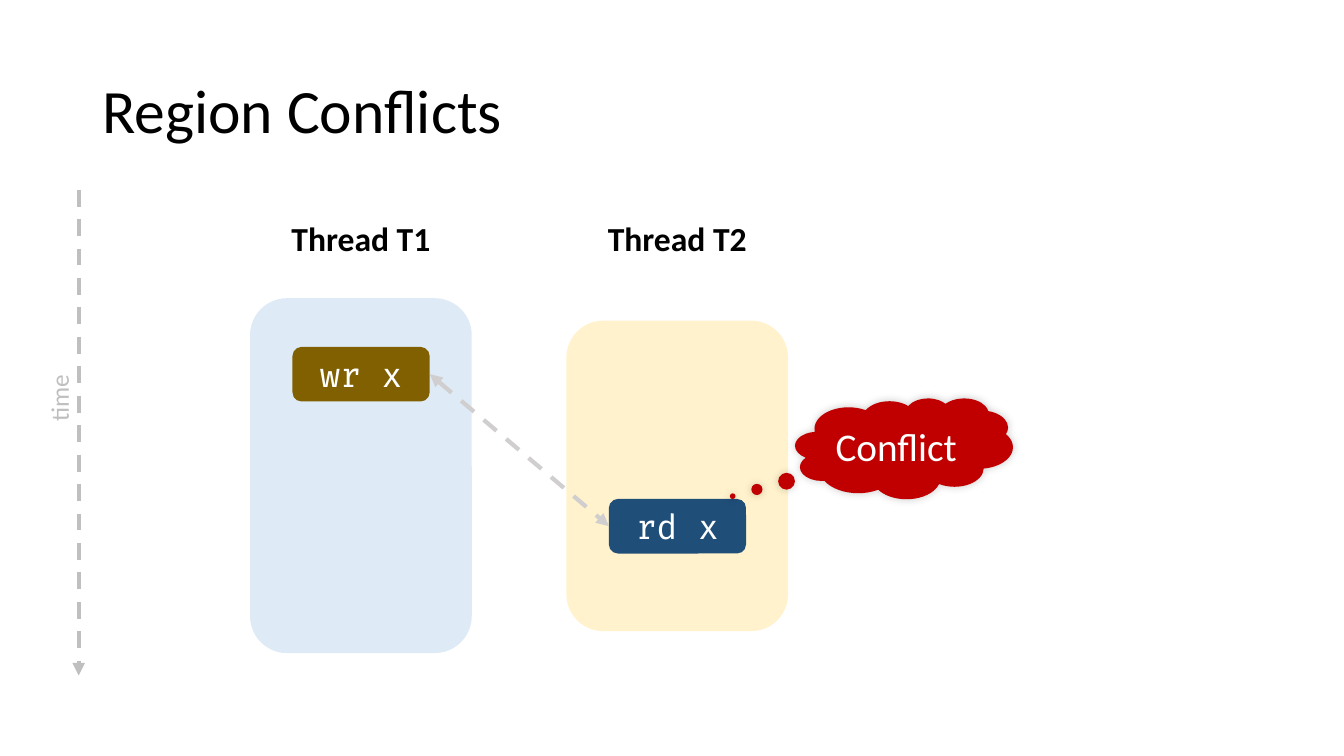
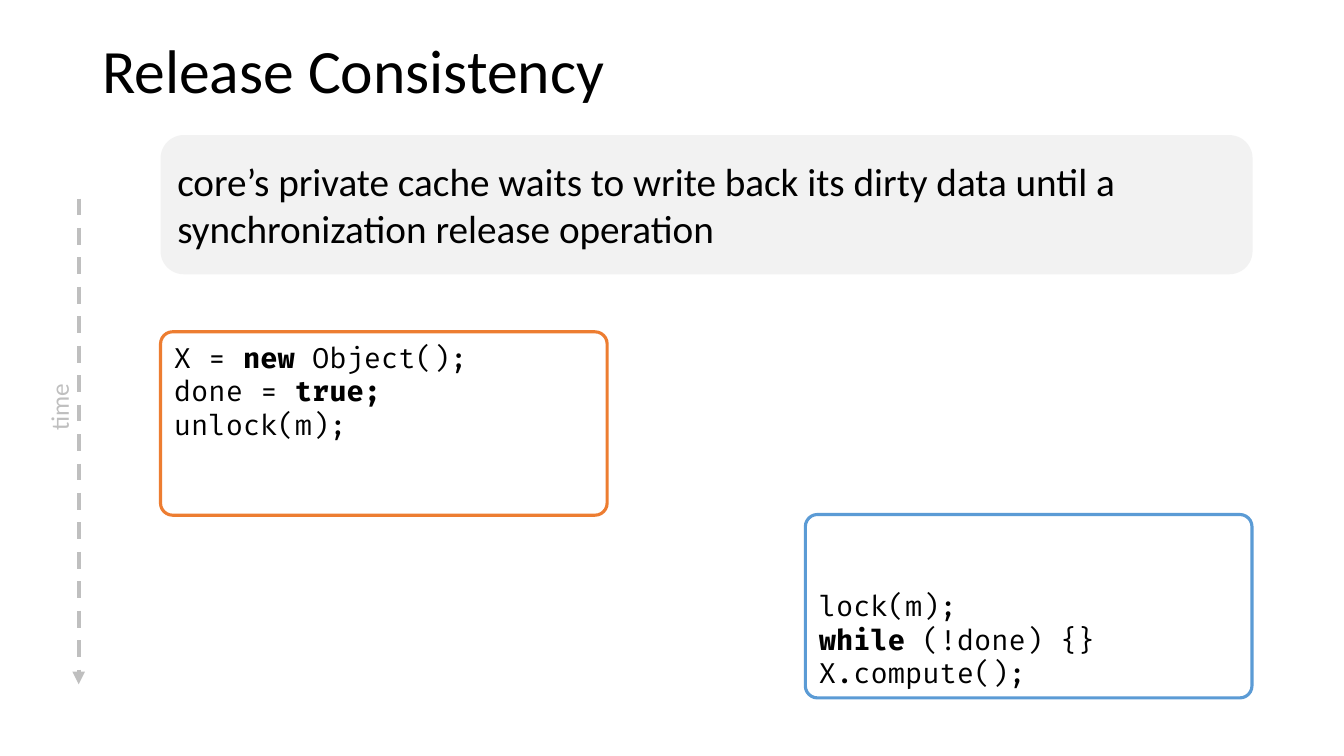
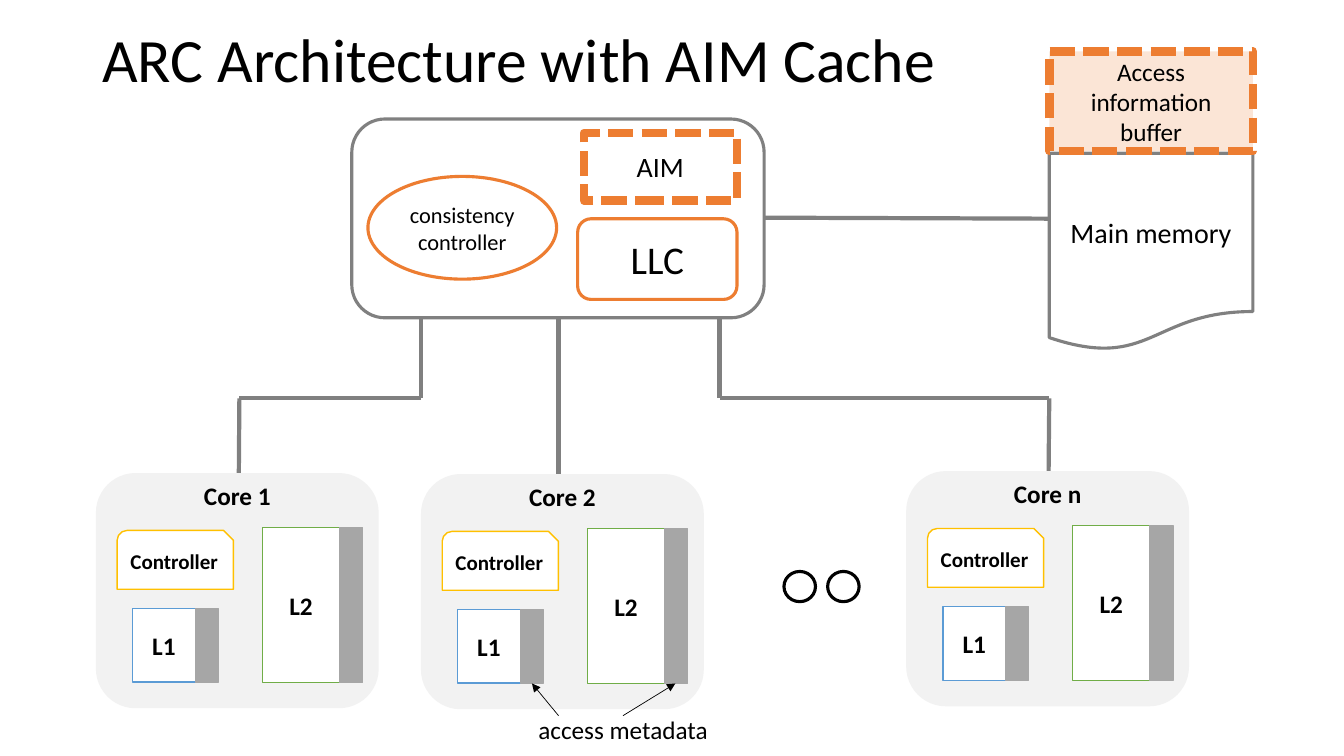
"""Build three slides on region conflicts, release consistency and the ARC design."""
import itertools

import lxml.etree
import pptx
import pptx.dml.color
import pptx.enum.dml
import pptx.enum.shapes
import pptx.enum.text
import pptx.oxml.ns
import pptx.util

Pt = pptx.util.Pt
RGB = pptx.dml.color.RGBColor
qn = pptx.oxml.ns.qn
FORM = pptx.enum.shapes.MSO_SHAPE
DASH = pptx.enum.dml.MSO_LINE.DASH
BLOCK = pptx.enum.dml.MSO_LINE.SQUARE_DOT
ALIGN = pptx.enum.text.PP_ALIGN
ANCHOR = pptx.enum.text.MSO_ANCHOR

BLACK = RGB(0x00, 0x00, 0x00)
WHITE = RGB(0xFF, 0xFF, 0xFF)
PALE = RGB(0xF2, 0xF2, 0xF2)
SILVER = RGB(0xBF, 0xBF, 0xBF)
MIST = RGB(0xD0, 0xCE, 0xCE)
ASH = RGB(0xA6, 0xA6, 0xA6)
GRAY = RGB(0x80, 0x80, 0x80)
SKY = RGB(0xDE, 0xEB, 0xF7)
BLUE = RGB(0x5B, 0x9B, 0xD5)
NAVY = RGB(0x1F, 0x4E, 0x79)
CREAM = RGB(0xFF, 0xF2, 0xCC)
GOLD = RGB(0xFF, 0xC0, 0x00)
BROWN = RGB(0x80, 0x60, 0x00)
PEACH = RGB(0xFB, 0xE5, 0xD6)
ORANGE = RGB(0xED, 0x7D, 0x31)
GREEN = RGB(0x70, 0xAD, 0x47)
RED = RGB(0xC0, 0x00, 0x00)
SANS = "Calibri"
MONO = "Fira Code"


def write(shape, lines, size, color=BLACK, bold=False, face=SANS,
          align=ALIGN.CENTER, anchor=ANCHOR.MIDDLE):
    """Fill a shape with lines, each a string or a list of (text, bold) runs."""
    frame = shape.text_frame
    frame.word_wrap = True
    frame.vertical_anchor = anchor
    for rank, line in enumerate(lines):
        para = frame.add_paragraph() if rank else frame.paragraphs[0]
        para.alignment = align
        para.font.name = face
        para.font.size = Pt(size)
        para.font.color.rgb = color
        if isinstance(line, str):
            para.font.bold = bold
            para.add_run().text = line
        else:
            for text, heavy in line:
                run = para.add_run()
                run.text = text
                run.font.bold = heavy


def box(slide, form, area, fill, edge=None, width=1, dash=None):
    """Add a preset shape with a flat fill and an optional outline."""
    shape = slide.shapes.add_shape(form, *map(Pt, area))
    shape.shadow.inherit = False
    shape.fill.solid()
    shape.fill.fore_color.rgb = fill
    if edge is None:
        shape.line.fill.background()
    else:
        shape.line.color.rgb = edge
        shape.line.width = Pt(width)
        if dash:
            shape.line.dash_style = dash
    return shape


def label(slide, area, text, size, color=BLACK, bold=False):
    """Add a centred line of text without margins."""
    note = slide.shapes.add_textbox(*map(Pt, area))
    frame = note.text_frame
    frame.margin_left = frame.margin_right = frame.margin_top = frame.margin_bottom = 0
    write(note, [text], size, color, bold)
    return note


def wire(slide, start, end, color=GRAY, width=3, dash=None, ends=()):
    """Add a straight line with optional arrowheads."""
    line = slide.shapes.add_connector(
        pptx.enum.shapes.MSO_CONNECTOR.STRAIGHT, *map(Pt, (*start, *end)))
    line.line.color.rgb = color
    line.line.width = Pt(width)
    if dash:
        line.line.dash_style = dash
    props = line.element.spPr
    for tag in ends:
        lxml.etree.SubElement(props.find(qn("a:ln")), qn(tag), type="triangle")
    lxml.etree.SubElement(props, qn("a:effectLst"))


def route(slide, points):
    """Join points with straight wires."""
    for start, end in itertools.pairwise(points):
        wire(slide, start, end)


def start(deck, text, top, height):
    """Add a blank slide with its title."""
    slide = deck.slides.add_slide(deck.slide_layouts[6])
    head = slide.shapes.add_textbox(Pt(66), Pt(top), Pt(828), Pt(height))
    write(head, [text], 44, align=ALIGN.LEFT)
    head.text_frame.paragraphs[0].line_spacing = 0.9
    return slide


def clock(slide, top):
    """Add the dashed time axis."""
    wire(slide, (56.2, top), (56.2, top + 347), SILVER, 3, DASH, ["a:tailEnd"])
    label(slide, (18, top + 134.6, 48, 29), "time", 18, SILVER).rotation = 270


def thread(slide, left, name, top, height, fill, step, down, tint):
    """Add a thread column with one memory access."""
    label(slide, (left, 152, 158.4, 36), name, 24, bold=True)
    box(slide, FORM.ROUNDED_RECTANGLE, (left, top, 158.4, height), fill)
    tile = box(slide, FORM.ROUNDED_RECTANGLE, (left + 30.3, down, 98, 39), tint)
    write(tile, [step], 24, WHITE, face=MONO)


def code(slide, left, top, edge, anchor, lines):
    """Add an outlined block of code."""
    card = box(slide, FORM.ROUNDED_RECTANGLE, (left, top, 319, 131), WHITE, edge, 2.25)
    card.adjustments[0] = 0.066
    write(card, lines, 20, face=MONO, align=ALIGN.LEFT, anchor=anchor)


def core(slide, left, top, name):
    """Add a core with its controller, caches and metadata strips."""
    box(slide, FORM.ROUNDED_RECTANGLE, (left, top, 201, 167), PALE, PALE)
    label(slide, (left, top + 1, 201, 29), name, 18, bold=True)
    unit = box(slide, FORM.SNIP_ROUND_RECTANGLE, (left + 14.7, top + 40.5, 83, 42), WHITE, GOLD)
    write(unit, ["Controller"], 15, bold=True)
    for text, across, down, width, height, edge in (
            ("L1", 25.7, 96.3, 44.8, 52.6, BLUE), ("L2", 118.5, 38.3, 55, 111, GREEN)):
        cache = box(slide, FORM.RECTANGLE, (left + across, top + down, width, height), WHITE, edge)
        write(cache, [text], 18, bold=True)
        box(slide, FORM.RECTANGLE, (left + across + width, top + down, 16.6, height), ASH, ASH)


def clash(deck):
    """Build the slide on region conflicts."""
    slide = start(deck, "Region Conflicts", 29, 104)
    thread(slide, 178.6, "Thread T1", 213, 253.5, SKY, "wr x", 247.8, BROWN)
    thread(slide, 404.6, "Thread T2", 229, 221.8, CREAM, "rd x", 356.4, NAVY)
    cloud = box(slide, FORM.CLOUD_CALLOUT, (568, 284.4, 155.5, 72), RED)
    cloud.adjustments[0] = -0.787
    cloud.adjustments[1] = 0.473
    write(cloud, ["Conflict"], 28, WHITE)
    glow = lxml.etree.SubElement(
        cloud.element.spPr.find(qn("a:effectLst")), qn("a:outerShdw"),
        blurRad=str(Pt(6)), dist="0", dir="18900000")
    tone = lxml.etree.SubElement(glow, qn("a:srgbClr"), val="000000")
    lxml.etree.SubElement(tone, qn("a:alpha"), val="20000")
    clock(slide, 135.5)
    wire(slide, (307, 267.3), (435, 375.8), MIST, 3, DASH, ["a:headEnd", "a:tailEnd"])


def release(deck):
    """Build the slide on release consistency."""
    slide = start(deck, "Release Consistency", 15, 75)
    code(slide, 114.7, 237, ORANGE, ANCHOR.TOP, [
        [("X = ", False), ("new", True), (" Object();", False)],
        [("done = ", False), ("true;", True)],
        "unlock(m);"])
    code(slide, 575.3, 367.5, BLUE, ANCHOR.BOTTOM, [
        "lock(m);",
        [("while ", True), ("(!done) {}", False)],
        "X.compute();"])
    clock(slide, 141.8)
    rule = box(slide, FORM.ROUNDED_RECTANGLE, (114.7, 96.5, 780, 99.4), PALE)
    write(rule, ["core’s private cache waits to write back its dirty data until a "
                 "synchronization release operation"], 28, align=ALIGN.LEFT)


def design(deck):
    """Build the slide on the ARC design."""
    slide = start(deck, "ARC Architecture with AIM Cache", -1, 91)
    bus = 284.5
    route(slide, [(170.6, 338), (171, bus), (301, bus), (301, 227.5)])
    route(slide, [(399, 227.5), (399, 342)])
    route(slide, [(514, 228), (514, bus), (749.5, bus), (749, 338)])
    route(slide, [(545.8, 155.5), (749.5, 156.2)])
    box(slide, FORM.ROUNDED_RECTANGLE, (251.3, 85, 294.5, 142), WHITE, GRAY, 2.25)
    for form, area, fill, edge, width, dash, lines, size in (
            (FORM.FLOWCHART_DOCUMENT, (749.5, 109.5, 145.4, 141), WHITE, GRAY, 2.25, None,
             ["Main memory"], 20),
            (FORM.RECTANGLE, (749.5, 36.7, 145.4, 71.3), PEACH, ORANGE, 6, BLOCK,
             ["Access information buffer"], 18),
            (FORM.ROUNDED_RECTANGLE, (412.6, 156.3, 113.8, 57.6), WHITE, ORANGE, 2.25, None,
             ["LLC"], 28),
            (FORM.OVAL, (262.8, 126, 134.8, 73.4), WHITE, ORANGE, 2.25, None,
             ["consistency", "controller"], 16),
            (FORM.RECTANGLE, (417, 95, 109.4, 48.2), WHITE, ORANGE, 6, BLOCK,
             ["AIM"], 20)):
        write(box(slide, form, area, fill, edge, width, dash), lines, size)
    for left, top, name in ((69, 338.4, "Core 1"), (301.2, 339.1, "Core 2"),
                            (647.8, 337, "Core n")):
        core(slide, left, top, name)
    for left in (560, 591.2):
        box(slide, FORM.OVAL, (left, 408.2, 22.5, 21.6), WHITE, BLACK, 2.25)
    label(slide, (376.6, 506.2, 136.8, 29), "access metadata", 18)
    for tail, tip in ((399, 380), (445, 482.4)):
        wire(slide, (tail, 511.2), (tip, 488.2), BLACK, 0.5, ends=["a:tailEnd"])


def main():
    """Build and save the deck."""
    deck = pptx.Presentation()
    deck.slide_width = Pt(960)
    deck.slide_height = Pt(540)
    clash(deck)
    release(deck)
    design(deck)
    deck.save("out.pptx")


if __name__ == "__main__":
    main()
